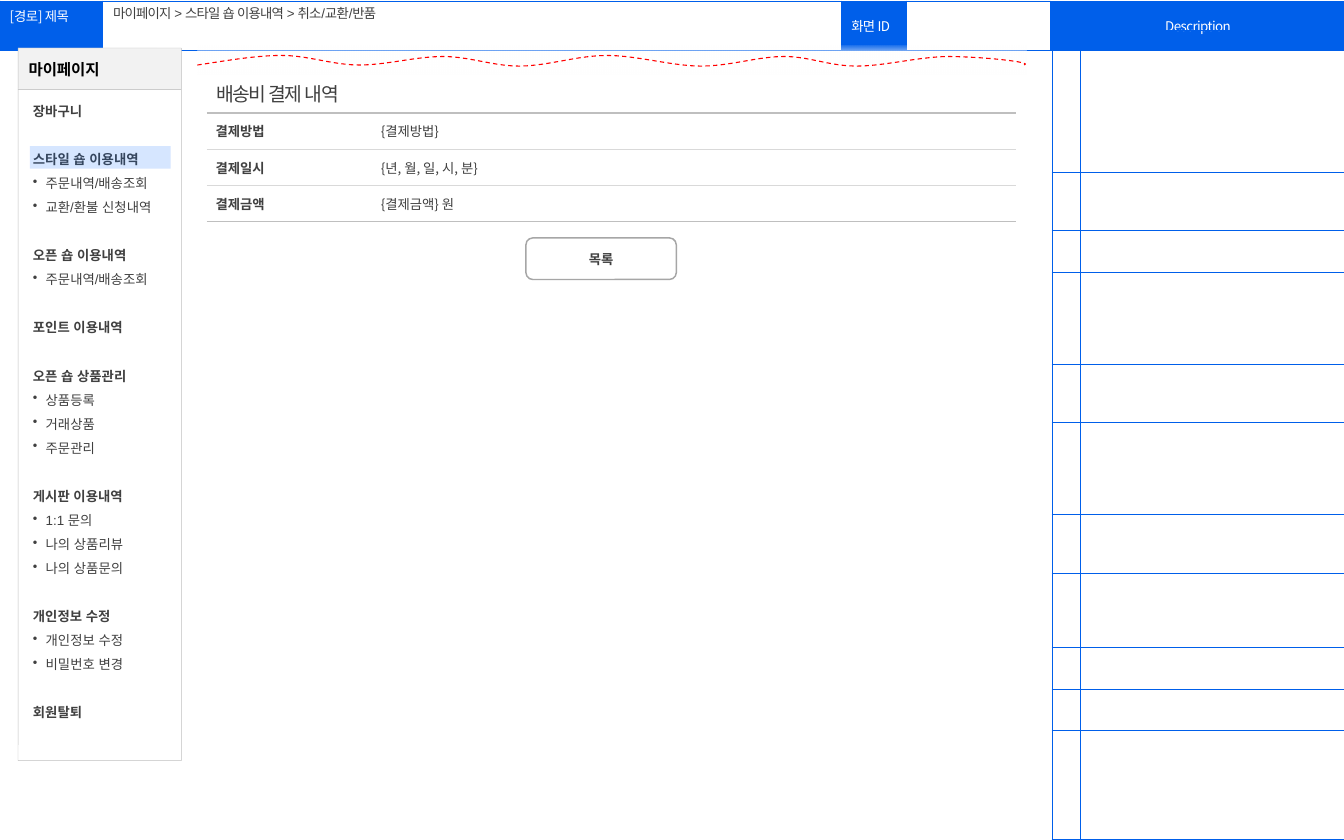
from lxml.etree import SubElement
from pptx import Presentation
from pptx.dml.color import RGBColor
from pptx.enum.dml import MSO_LINE
from pptx.enum.shapes import MSO_SHAPE as SHAPE
from pptx.enum.text import MSO_ANCHOR as ANCHOR, MSO_AUTO_SIZE as AUTO, PP_ALIGN as ALIGN
from pptx.oxml import parse_xml
from pptx.oxml.ns import nsdecls, qn
from pptx.util import Cm, Inches, Pt

BLUE = RGBColor(0x00, 0x5F, 0xEA)
HIGHLIGHT = RGBColor(0x00, 0x66, 0xFF)
WHITE = RGBColor(0xFF, 0xFF, 0xFF)
BLACK = RGBColor(0x00, 0x00, 0x00)
TEXT = RGBColor(0x40, 0x40, 0x40)
PANEL = RGBColor(0xF2, 0xF2, 0xF2)
MID = RGBColor(0xBF, 0xBF, 0xBF)
LIGHT = RGBColor(0xD9, 0xD9, 0xD9)
BUTTON = RGBColor(0xA6, 0xA6, 0xA6)
RED = RGBColor(0xFF, 0x00, 0x00)
NOTO = "Noto Sans CJK KR"
NO_STYLE = "{2D5ABB26-0587-4C30-8999-92F81FD0307C}"

MENU = [
    ("장바구니", []),
    ("스타일 숍 이용내역", ["주문내역/배송조회", "교환/환불 신청내역"]),
    ("오픈 숍 이용내역", ["주문내역/배송조회"]),
    ("포인트 이용내역", []),
    ("오픈 숍 상품관리", ["상품등록", "거래상품", "주문관리"]),
    ("게시판 이용내역", ["1:1 문의", "나의 상품리뷰", "나의 상품문의"]),
    ("개인정보 수정", ["개인정보 수정", "비밀번호 변경"]),
    ("회원탈퇴", []),
]
PAYMENT = [("결제방법", "{결제방법}"), ("결제일시", "{년, 월, 일, 시, 분}"), ("결제금액", "{결제금액} 원")]
HEADER = [("[경로] 제목", ALIGN.LEFT, ANCHOR.TOP), None, ("화면 ID", ALIGN.LEFT, ANCHOR.MIDDLE),
          None, ("Description", ALIGN.CENTER, ANCHOR.MIDDLE)]
WAVE_START = (1.85, 0.61)
WAVE = [
    ((2.12, 0.57), (2.39, 0.52), (2.64, 0.52)), ((2.89, 0.52), (3.12, 0.61), (3.37, 0.61)),
    ((3.62, 0.61), (3.9, 0.53), (4.15, 0.53)), ((4.4, 0.53), (4.62, 0.62), (4.87, 0.62)),
    ((5.13, 0.62), (5.41, 0.52), (5.69, 0.52)), ((5.97, 0.52), (6.3, 0.62), (6.57, 0.62)),
    ((6.85, 0.62), (7.1, 0.53), (7.35, 0.53)), ((7.59, 0.53), (7.77, 0.62), (8.03, 0.62)),
    ((8.29, 0.62), (8.63, 0.53), (8.89, 0.53)), ((9.16, 0.53), (9.7, 0.58), (9.6, 0.61)),
]


class Page:
    def __init__(self, prs):
        self.s = prs.slides.add_slide(prs.slide_layouts[5])

    def style(self, p, size=9, color=TEXT, bold=False, name="Arial", spacing=0):
        p.font.size, p.font.bold, p.font.name = Pt(size), bold, name
        p.font.color.rgb = color
        props = p._p.pPr.find(qn("a:defRPr"))
        SubElement(props, qn("a:ea")).set("typeface", name)
        if spacing:
            props.set("spc", str(int(spacing * 100)))

    def title(self, text, box):
        sp = self.s.shapes.title
        sp.left, sp.top, sp.width, sp.height = map(Inches, box)
        tf = sp.text_frame
        tf.auto_size, tf.word_wrap, tf.vertical_anchor = AUTO.NONE, False, ANCHOR.MIDDLE
        p = tf.paragraphs[0]
        p.text, p.alignment, p.line_spacing = text, ALIGN.LEFT, 0.9
        self.style(p, spacing=-0.5)

    def shape(self, box, kind=SHAPE.RECTANGLE, fill=None, line=None, width=0.25,
              corner=None, parent=None):
        sp = (parent or self.s).shapes.add_shape(kind, *map(Inches, box))
        sp.shadow.inherit = False
        if corner is not None:
            sp.adjustments[0] = corner
        if fill is None:
            sp.fill.background()
        else:
            sp.fill.solid()
            sp.fill.fore_color.rgb = fill
        if line is None:
            sp.line.fill.background()
        else:
            sp.line.color.rgb, sp.line.width = line, Pt(width)
        return sp

    def label(self, sp, text, align=ALIGN.LEFT, **font):
        sp.text_frame.vertical_anchor = ANCHOR.MIDDLE
        p = sp.text_frame.paragraphs[0]
        p.text, p.alignment = text, align
        self.style(p, **font)

    def text(self, text, box, **font):
        tf = self.s.shapes.add_textbox(*map(Inches, box)).text_frame
        tf.word_wrap = True
        tf.margin_left = tf.margin_right = Inches(0.08)
        tf.margin_top = tf.margin_bottom = 0
        p = tf.paragraphs[0]
        p.text = text
        self.style(p, **font)

    def menu(self, sp, groups):
        tf = sp.text_frame
        tf.vertical_anchor = ANCHOR.TOP
        entries = [(text, i == 0) for head, items in groups for i, text in enumerate([head, *items])]
        for n, (text, is_head) in enumerate(entries):
            p = tf.add_paragraph() if n else tf.paragraphs[0]
            p.text, p.alignment, p.line_spacing = text, ALIGN.LEFT, Pt(16.25)
            if is_head and n:
                p.space_before = Pt(16.25)
            props = p._p.get_or_add_pPr()
            props.set("marL", str(Inches(0.04 if is_head else 0.16)))
            props.set("indent", str(Inches(0 if is_head else -0.12)))
            if not is_head:
                SubElement(props, qn("a:buChar")).set("char", "•")
            self.style(p, bold=is_head)

    def table(self, left, top, cols, rows):
        tbl = self.s.shapes.add_table(len(rows), len(cols), Inches(left), Inches(top),
                                      Inches(sum(cols)), Inches(sum(rows))).table
        tbl._tbl.tblPr.find(qn("a:tableStyleId")).text = NO_STYLE
        tbl.first_row = tbl.horz_banding = False
        for col, width in zip(tbl.columns, cols):
            col.width = Inches(width)
        for row, height in zip(tbl.rows, rows):
            row.height = Inches(height)
        return tbl

    def cell(self, cell, text="", fill=None, borders=None, margins=(0.09, 0.05),
             align=ALIGN.LEFT, anchor=ANCHOR.MIDDLE, after=0, **font):
        cell.margin_left = cell.margin_right = Inches(margins[0])
        cell.margin_top = cell.margin_bottom = Inches(margins[1])
        cell.vertical_anchor = anchor
        if fill is None:
            cell.fill.background()
        else:
            cell.fill.solid()
            cell.fill.fore_color.rgb = fill
        for i, (side, (color, width)) in enumerate((borders or {}).items()):
            cell._tc.tcPr.insert(i, parse_xml(
                f'<a:ln{side} {nsdecls("a")} w="{Pt(width)}"><a:solidFill>'
                f'<a:srgbClr val="{color}"/></a:solidFill></a:ln{side}>'))
        p = cell.text_frame.paragraphs[0]
        p.text, p.alignment, p.space_after = text, align, Pt(after)
        self.style(p, name=NOTO, **font)

    def fade(self, box, parent):
        sp = self.shape(box, fill=WHITE, parent=parent)
        stops = "".join(
            f'<a:gs pos="{pos}"><a:srgbClr val="{WHITE}"><a:alpha val="{alpha}"/></a:srgbClr></a:gs>'
            for pos, alpha in ((0, 10000), (50000, 100000), (100000, 10000)))
        solid = sp._element.spPr.find(qn("a:solidFill"))
        solid.getparent().replace(solid, parse_xml(
            f'<a:gradFill {nsdecls("a")}><a:gsLst>{stops}</a:gsLst>'
            f'<a:lin ang="5400000" scaled="0"/></a:gradFill>'))

    def wave(self, start, curves, parent, steps=10):
        points, a = [], start
        for b, c, d in curves:
            for t in (i / steps for i in range(1, steps + 1)):
                u = 1 - t
                points.append(tuple(Inches(u**3 * w + 3 * u * u * t * x + 3 * u * t * t * y + t**3 * z)
                                    for w, x, y, z in zip(a, b, c, d)))
            a = d
        builder = parent.shapes.build_freeform(*map(Inches, start))
        builder.add_line_segments(points, close=False)
        sp = builder.convert_to_shape()
        sp.shadow.inherit = False
        sp.fill.background()
        sp.line.color.rgb, sp.line.width = RED, Pt(0.75)
        sp.line.dash_style = MSO_LINE.DASH


def main():
    prs = Presentation()
    prs.slide_width, prs.slide_height = Cm(32), Cm(20)
    page = Page(prs)

    header = page.table(0, 0.01, [0.96, 6.93, 0.61, 1.35, 2.76], [0.46])
    edges = dict.fromkeys("LRTB", (BLUE, 0.5))
    for cell, content in zip(header.rows[0].cells, HEADER):
        text, align, anchor = content or ("", ALIGN.LEFT, ANCHOR.MIDDLE)
        page.cell(cell, text, BLUE if content else None, edges, align=align, anchor=anchor,
                  color=WHITE, spacing=-0.4)

    page.menu(page.shape((0.17, 0.84, 1.53, 6.29), SHAPE.ROUNDED_RECTANGLE, line=MID, corner=0.001), MENU)
    heading = page.shape((0.17, 0.45, 1.53, 0.39), SHAPE.ROUNDED_RECTANGLE, PANEL, MID, corner=0.001)
    page.label(heading, "마이페이지", size=10.5, color=BLACK, bold=True)
    page.title("마이페이지 > 스타일 숍 이용내역 > 취소/교환/반품", (0.96, 0, 6.91, 0.26))

    notes = page.table(9.86, 0.28, [0.27, 2.47],
                       [1.33, 0.55, 0.39, 0.86, 0.55, 0.86, 0.55, 0.7, 0.39, 0.39, 1.02])
    edges = dict.fromkeys("LRTB", (BLUE, 0.25))
    for cell in notes.iter_cells():
        page.cell(cell, borders=edges)

    mark = page.shape((0.28, 1.37, 1.32, 0.21), fill=HIGHLIGHT)
    color = mark._element.spPr.find(qn("a:solidFill"))[0]
    SubElement(color, qn("a:alpha")).set("val", "16000")

    page.text("배송비 결제 내역", (1.95, 0.77, 1.69, 0.22), size=13, spacing=-1)
    payment = page.table(1.94, 1.06, [1.46, 6.12], [0.34] * len(PAYMENT))
    rules = [(MID, 1), (LIGHT, 0.5), (LIGHT, 0.5), (MID, 1)]
    for i, texts in enumerate(PAYMENT):
        for j, text in enumerate(texts):
            page.cell(payment.cell(i, j), text, WHITE, {"T": rules[i], "B": rules[i + 1]},
                      margins=((0.08, 0.17)[j], 0.04), after=3, bold=j == 0)

    button = page.shape((4.93, 2.23, 1.41, 0.39), SHAPE.ROUNDED_RECTANGLE, WHITE, BUTTON, 1)
    page.label(button, "목록", ALIGN.CENTER, bold=True)

    tear = page.s.shapes.add_group_shape()
    page.fade((1.85, 0.43, 7.77, 0.27), tear)
    page.wave(WAVE_START, WAVE, tear)
    prs.save("out.pptx")


if __name__ == "__main__":
    main()
